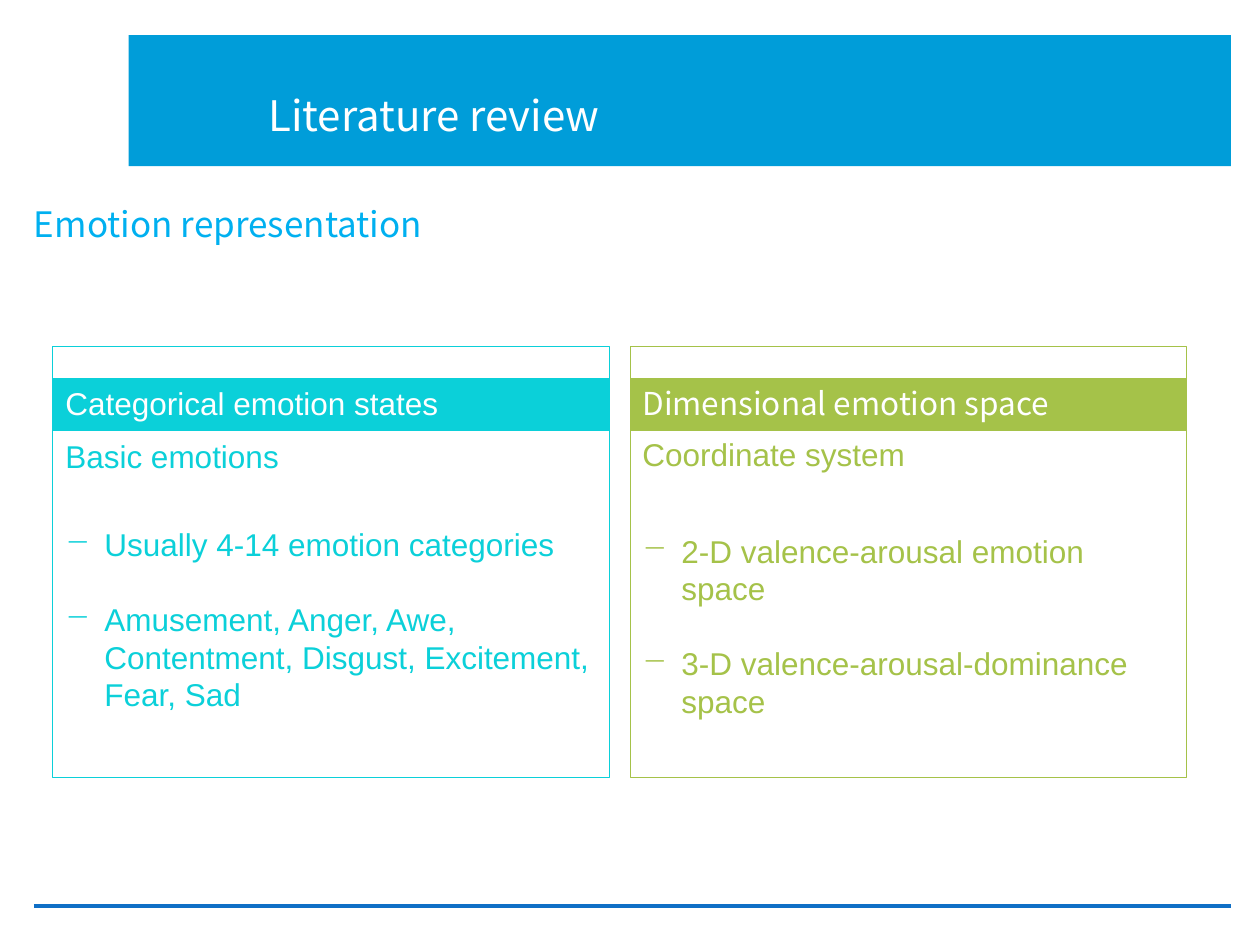
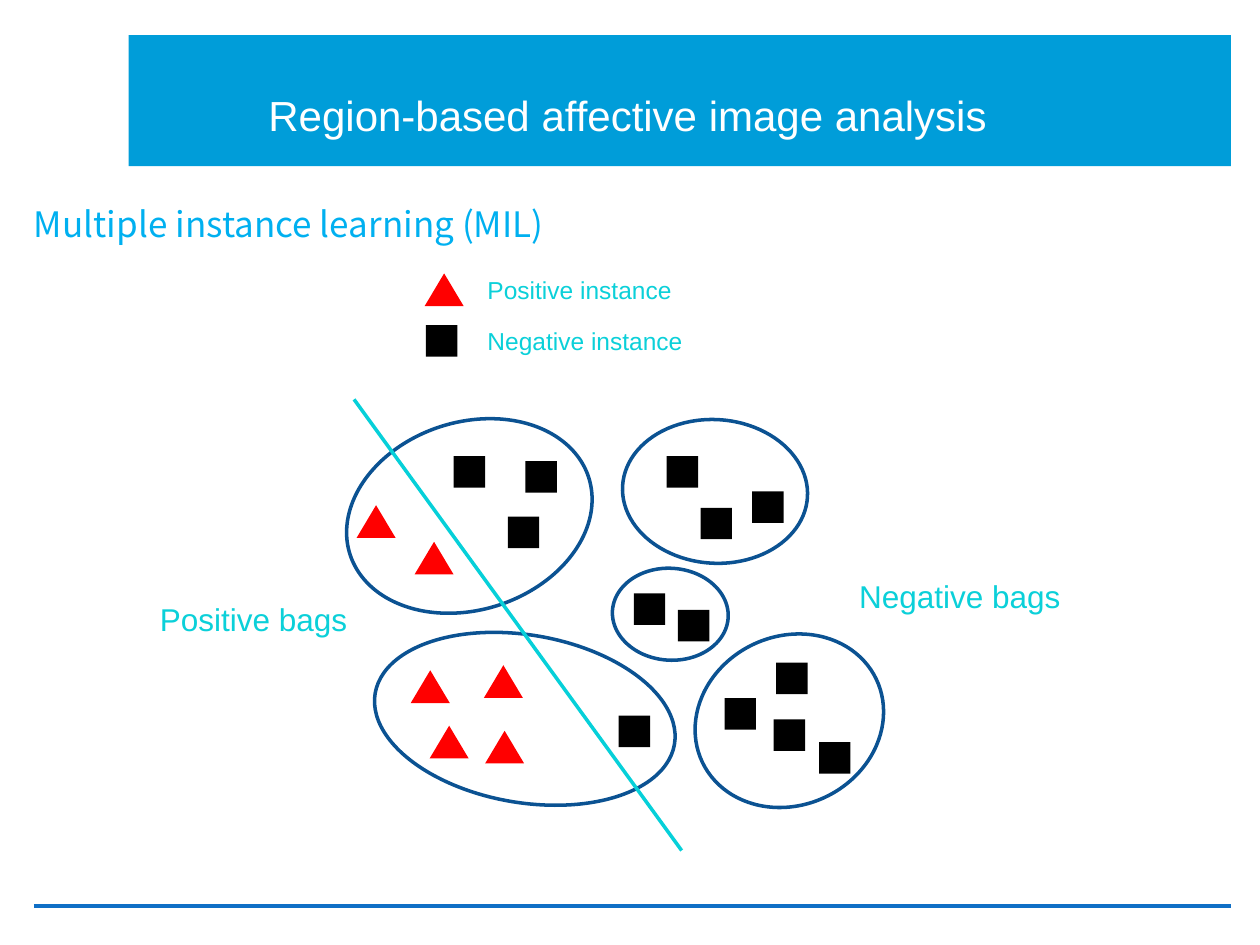
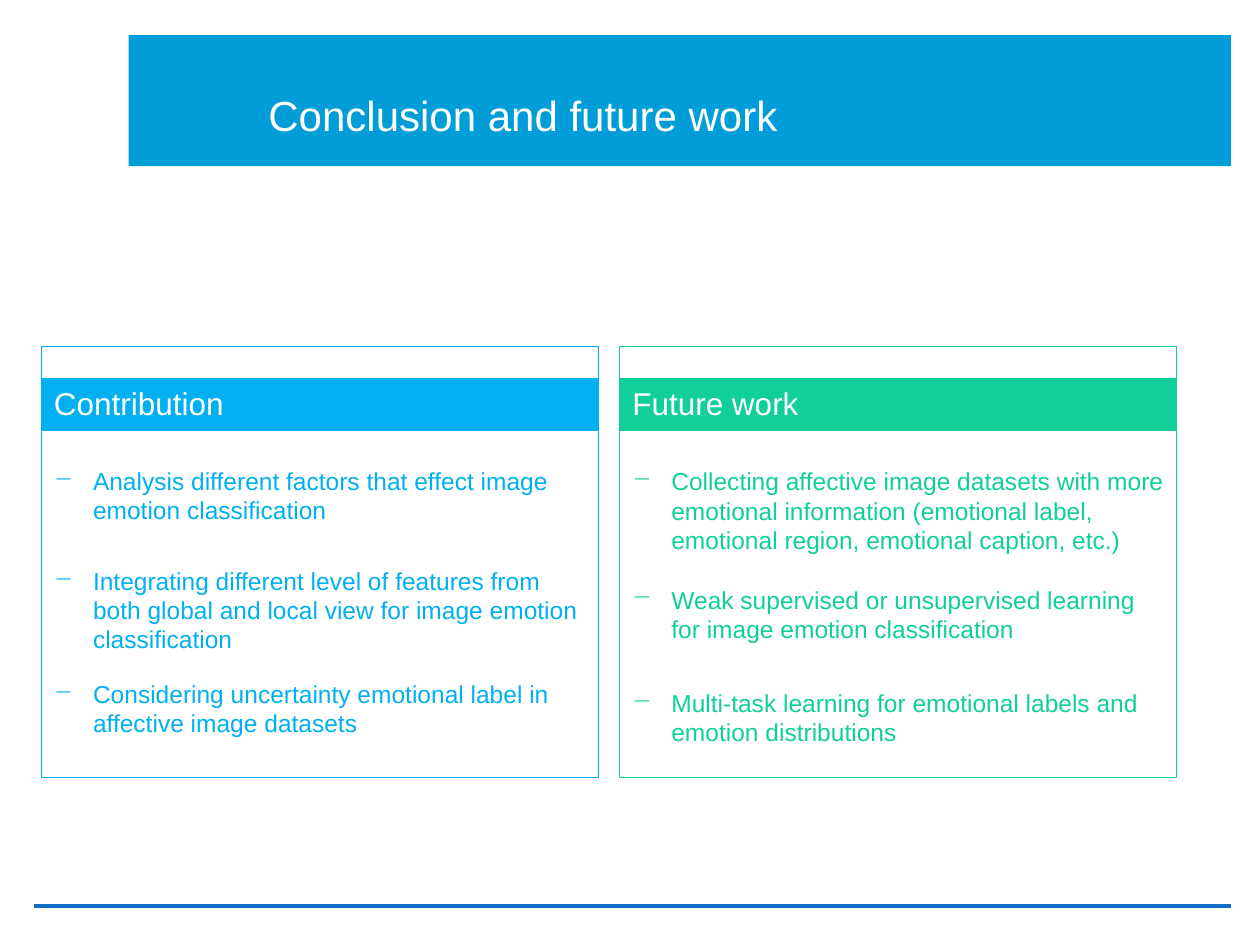
from lxml.etree import SubElement
from pptx import Presentation
from pptx.dml.color import RGBColor
from pptx.enum.shapes import MSO_CONNECTOR, MSO_SHAPE
from pptx.enum.text import MSO_ANCHOR, MSO_AUTO_SIZE, PP_ALIGN
from pptx.oxml.ns import qn
from pptx.util import Inches, Pt

COLORS = {
    "band": "009DD9", "rule": "0F6FC6", "white": "FFFFFF", "sky": "00B0F0",
    "cyan": "0BD0D9", "boundary": "06D0D9", "olive": "A5C249", "green": "10CF9B",
    "bag": "0B5292", "positive": "FF0000", "negative": "000000",
}
LATIN, CJK = "Arial", "Noto Sans CJK SC"

PANEL_TOP, PANEL_WIDTH, PANEL_HEIGHT = 2.75, 4.42, 3.42
HEADER_TOP, HEADER_HEIGHT = 3.0, 0.42
INDENT = 0.31

# Instance kind: preset shape, width, height
MARKS = {
    "positive": (MSO_SHAPE.ISOSCELES_TRIANGLE, 0.31, 0.26),
    "negative": (MSO_SHAPE.RECTANGLE, 0.25, 0.25),
}

# Bag ellipses: left, top, width, height, rotation
BAGS = [
    (2.73, 3.35, 1.99, 1.49, 342.1),
    (2.96, 5.04, 2.41, 1.33, 9.7),
    (4.94, 3.33, 1.47, 1.14, 3.6),
    (4.86, 4.51, 0.92, 0.73, 3.6),
    (5.5, 5.05, 1.53, 1.34, 334.4),
]
INSTANCES = {
    "positive": [(2.83, 4.01), (3.29, 4.3), (3.26, 5.32), (3.84, 5.28),
                 (3.41, 5.76), (3.85, 5.8)],
    "negative": [(3.6, 3.62), (4.17, 3.66), (4.03, 4.1), (4.91, 5.68),
                 (5.29, 3.62), (5.56, 4.03), (5.97, 3.9), (5.03, 4.71),
                 (5.38, 4.84), (5.75, 5.54), (6.14, 5.71), (6.5, 5.89),
                 (6.16, 5.26)],
}

CONTRIBUTIONS = [
    (3.65, "Analysis different factors that effect image emotion classification"),
    (4.44, "Integrating different level of features from both global and local "
           "view for image emotion classification"),
    (5.34, "Considering uncertainty emotional label in affective image datasets"),
]
FUTURE_WORK = [
    (3.65, "Collecting affective image datasets with more emotional information "
           "(emotional label, emotional region, emotional caption, etc.)"),
    (4.59, "Weak supervised or unsupervised learning for image emotion classification"),
    (5.41, "Multi-task learning for emotional labels and emotion distributions"),
]


def rgb(name):
    return RGBColor.from_string(COLORS[name])


def add_bullet(paragraph):
    properties = paragraph._p.get_or_add_pPr()
    properties.set("marL", str(Inches(INDENT)))
    properties.set("indent", str(-Inches(INDENT)))
    SubElement(properties, qn("a:buChar")).set("char", "−")


def write_text(frame, *lines, size=18, font=LATIN, color="white", bullet=False,
               line_spacing=None, gap=0, anchor=MSO_ANCHOR.TOP):
    """Fill a text frame with one paragraph per line."""
    frame.word_wrap = True
    frame.auto_size = MSO_AUTO_SIZE.NONE
    frame.vertical_anchor = anchor
    for index, line in enumerate(lines):
        paragraph = frame.add_paragraph() if index else frame.paragraphs[0]
        paragraph.text = line
        paragraph.alignment = PP_ALIGN.LEFT
        if line_spacing:
            paragraph.line_spacing = Pt(line_spacing)
        if index and gap:
            paragraph.space_before = Pt(gap)
        if bullet:
            add_bullet(paragraph)
        paragraph.font.size = Pt(size)
        paragraph.font.name = font
        paragraph.font.color.rgb = rgb(color)


def add_label(slide, text, left, top, width, height=0.4, **style):
    lines = [text] if isinstance(text, str) else text
    label = slide.shapes.add_textbox(
        Inches(left), Inches(top), Inches(width), Inches(height))
    write_text(label.text_frame, *lines, **style)
    return label


def add_figure(slide, preset, left, top, width, height, fill=None, line=None,
               line_width=0.5, rotation=0):
    figure = slide.shapes.add_shape(
        preset, Inches(left), Inches(top), Inches(width), Inches(height))
    figure.shadow.inherit = False
    figure.rotation = rotation
    if fill:
        figure.fill.solid()
        figure.fill.fore_color.rgb = rgb(fill)
    else:
        figure.fill.background()
    if line:
        figure.line.color.rgb = rgb(line)
        figure.line.width = Pt(line_width)
    else:
        figure.line.fill.background()
    return figure


def add_line(slide, start, end, color, width):
    line = slide.shapes.add_connector(
        MSO_CONNECTOR.STRAIGHT, *(Inches(value) for value in start + end))
    line.line.color.rgb = rgb(color)
    line.line.width = Pt(width)
    SubElement(line._element.spPr, qn("a:effectLst"))


def add_slide(deck, heading, font=LATIN):
    """Start a slide with the shared band, title and bottom rule."""
    slide = deck.slides.add_slide(deck.slide_layouts[5])
    title = slide.shapes.title
    title.left, title.top = Inches(2.03), Inches(0.47)
    title.width, title.height = Inches(7.72), Inches(0.69)
    write_text(title.text_frame, heading, size=24, font=font, line_spacing=25,
               anchor=MSO_ANCHOR.BOTTOM)
    band = add_figure(slide, MSO_SHAPE.RECTANGLE, 1.02, 0.28, 8.75, 1.04, fill="band")
    title.element.addprevious(band.element)
    add_line(slide, (0.27, 7.19), (9.77, 7.19), "rule", 2.25)
    return slide


def add_subtitle(slide, text):
    subtitle = add_label(slide, text, 0.27, 1.55, 9.47, 0.53, size=20, font=CJK,
                         color="sky", line_spacing=18, anchor=MSO_ANCHOR.MIDDLE)
    frame = subtitle.text_frame
    frame.margin_left = frame.margin_right = frame.margin_top = frame.margin_bottom = 0


def add_panel(slide, left, header, color, font=LATIN):
    """Outlined panel with a filled header bar."""
    add_figure(slide, MSO_SHAPE.RECTANGLE, left, PANEL_TOP, PANEL_WIDTH,
               PANEL_HEIGHT, line=color)
    bar = add_figure(slide, MSO_SHAPE.RECTANGLE, left, HEADER_TOP, PANEL_WIDTH,
                     HEADER_HEIGHT, fill=color)
    write_text(bar.text_frame, header, font=font)


def add_instance(slide, kind, left, top):
    preset, width, height = MARKS[kind]
    add_figure(slide, preset, left, top, width, height, fill=kind)


def build_literature_review(deck):
    slide = add_slide(deck, "Literature review", font=CJK)
    add_subtitle(slide, "Emotion representation")
    panels = [
        (0.42, "Categorical emotion states", LATIN, "cyan", "Basic emotions", 3.42, 4.12,
         ["Usually 4-14 emotion categories",
          "Amusement, Anger, Awe, Contentment, Disgust, Excitement, Fear, Sad"]),
        (5.0, "Dimensional emotion space", CJK, "olive", "Coordinate system", 3.4, 4.17,
         ["2-D valence-arousal emotion space",
          "3-D valence-arousal-dominance space"]),
    ]
    for left, header, font, color, lead, lead_top, list_top, points in panels:
        add_panel(slide, left, header, color, font)
        add_label(slide, lead, left, lead_top, 2.5, color=color)
        add_label(slide, points, left, list_top, PANEL_WIDTH, 1.62, color=color,
                  bullet=True, gap=21)


def build_instance_learning(deck):
    slide = add_slide(deck, "Region-based affective image analysis")
    add_subtitle(slide, "Multiple instance learning (MIL)")

    # Bags, their instances and the boundary between the classes
    for left, top, width, height, rotation in BAGS:
        add_figure(slide, MSO_SHAPE.OVAL, left, top, width, height, line="bag",
                   line_width=2, rotation=rotation)
    for kind, places in INSTANCES.items():
        for left, top in places:
            add_instance(slide, kind, left, top)
    add_line(slide, (2.81, 3.17), (5.41, 6.75), "boundary", 2)
    add_label(slide, "Positive bags", 1.17, 4.71, 1.82, color="cyan")
    add_label(slide, "Negative bags", 6.72, 4.53, 1.82, color="cyan")

    # Legend
    for kind, text, left, top in [("positive", "Positive instance", 3.37, 2.13),
                                  ("negative", "Negative instance", 3.38, 2.54)]:
        add_instance(slide, kind, left, top + 0.04)
        add_label(slide, text, 3.77, top, 2.15, 0.34, size=14, color="cyan")


def build_conclusion(deck):
    slide = add_slide(deck, "Conclusion and future work")
    for left, header, color, points in [
        (0.33, "Contribution", "sky", CONTRIBUTIONS),
        (4.92, "Future work", "green", FUTURE_WORK),
    ]:
        add_panel(slide, left, header, color)
        for top, text in points:
            height = 0.81 if len(text) > 90 else 0.57
            add_label(slide, text, left, top, PANEL_WIDTH, height, size=14,
                      color=color, bullet=True)


def main():
    deck = Presentation()
    deck.slide_width, deck.slide_height = Inches(10), Inches(7.5)
    build_literature_review(deck)
    build_instance_learning(deck)
    build_conclusion(deck)
    deck.save("out.pptx")


if __name__ == "__main__":
    main()
